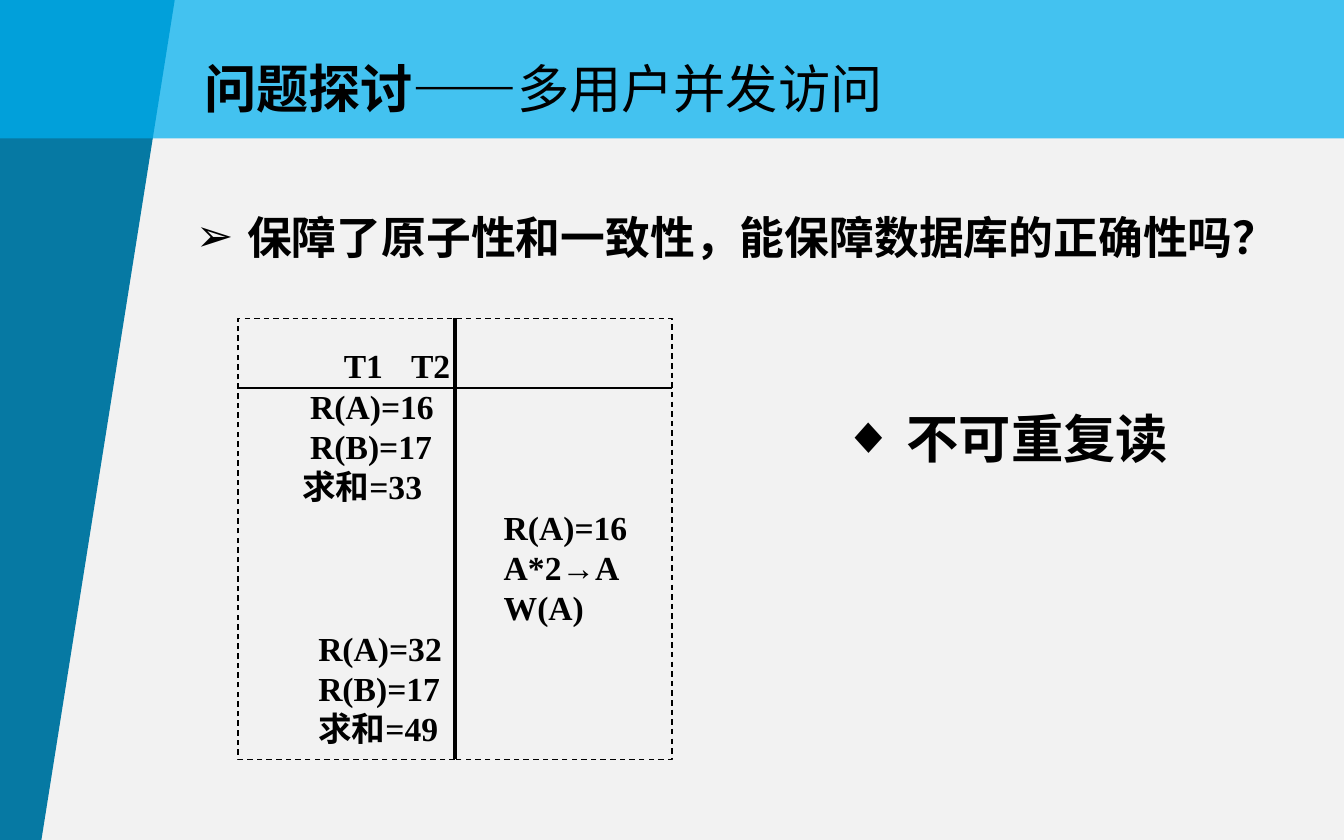
import pptx
import pptx.dml.color
import pptx.enum.dml
import pptx.enum.shapes
import pptx.enum.text
import pptx.oxml.ns
import pptx.util
from dataclasses import dataclass
from lxml import etree

Inches = pptx.util.Inches
Pt = pptx.util.Pt
qn = pptx.oxml.ns.qn
CENTER = pptx.enum.text.PP_ALIGN.CENTER


@dataclass(frozen=True)
class Theme:
    background: str = "F2F2F2"
    wedge: str = "0679A3"
    banner: str = "00B0F0"
    ink: str = "000000"
    latin: str = "Arial"
    cjk: str = "Noto Sans CJK SC"
    serif: str = "Times New Roman"
    heading: int = 28
    question: int = 24
    schedule: int = 18


def rgb(value):
    return pptx.dml.color.RGBColor.from_string(value)


def add_run(p, text, *, size, font, east_asian, color, bold=True):
    r = p.add_run()
    r.text = text
    r.font.size, r.font.name, r.font.bold = Pt(size), font, bold
    r.font.color.rgb = rgb(color)
    etree.SubElement(r.font._element, qn("a:ea"), typeface=east_asian)
    return r


def set_indent(p, left, hanging=0.0):
    pPr = p._p.get_or_add_pPr()
    pPr.set("marL", str(Inches(left)))
    pPr.set("indent", str(-Inches(hanging)))
    return pPr


class SlideBuilder:
    def __init__(self, slide, theme):
        self.s, self.theme = slide, theme
        self.shapes = slide.shapes
        fill = slide.background.fill
        fill.solid()
        fill.fore_color.rgb = rgb(theme.background)

    def run(self, p, text, size, font, bold=True):
        t = self.theme
        return add_run(p, text, size=size, font=font, east_asian=t.cjk,
                       color=t.ink, bold=bold)

    def polygon(self, points, color):
        first, *rest = [(Inches(x), Inches(y)) for x, y in points]
        builder = self.shapes.build_freeform(*first)
        builder.add_line_segments(rest, close=True)
        sp = builder.convert_to_shape()
        sp.shadow.inherit = False
        sp.fill.solid()
        sp.fill.fore_color.rgb = rgb(color)
        sp.line.fill.background()

    def rectangle(self, x, y, w, h, fill=None, opacity=100, dashed=False):
        sp = self.shapes.add_shape(pptx.enum.shapes.MSO_SHAPE.RECTANGLE,
                                   *map(Inches, (x, y, w, h)))
        sp.shadow.inherit = False
        if fill:
            sp.fill.solid()
            sp.fill.fore_color.rgb = rgb(fill)
            color = sp.fill._xPr.find(qn("a:solidFill"))[0]
            etree.SubElement(color, qn("a:alpha"), val=str(opacity * 1000))
        else:
            sp.fill.background()
        if dashed:
            sp.line.color.rgb = rgb(self.theme.ink)
            sp.line.width = Pt(0.75)
            sp.line.dash_style = pptx.enum.dml.MSO_LINE.DASH
        else:
            sp.line.fill.background()
        return sp

    def line(self, x1, y1, x2, y2, width):
        line = self.shapes.add_connector(pptx.enum.shapes.MSO_CONNECTOR.STRAIGHT,
                                         *map(Inches, (x1, y1, x2, y2)))
        line.line.color.rgb = rgb(self.theme.ink)
        line.line.width = Pt(width)
        etree.SubElement(line._element.spPr, qn("a:effectLst"))
        return line

    def text_box(self, x, y, w, h):
        """Add a wrapping text box and return its first paragraph."""
        tf = self.shapes.add_textbox(*map(Inches, (x, y, w, h))).text_frame
        tf.word_wrap = True
        return tf.paragraphs[0]

    def bullet(self, x, y, w, h, char, text, size, font):
        p = self.text_box(x, y, w, h)
        p.alignment, p.line_spacing = CENTER, 1.5
        pPr = set_indent(p, 0.38, 0.38)
        etree.SubElement(pPr, qn("a:buFont"), typeface="Arial")
        etree.SubElement(pPr, qn("a:buChar"), char=char)
        self.run(p, text, size, font)

    def schedule(self, x, y, w, h, header_y, headings, steps):
        """Draw a two-transaction timeline; each step is (indent, text)."""
        t, outer = self.theme, self.shapes
        self.shapes = outer.add_group_shape().shapes
        frame = self.rectangle(x, y, w, h, dashed=True)
        divider = self.line(x + w / 2, y, x + w / 2, y + h, 2.5)
        divider.begin_connect(frame, 0)
        divider.end_connect(frame, 2)
        self.line(x, header_y, x + w, header_y, 1)
        self.shapes = outer

        tf = frame.text_frame
        tf.word_wrap = True
        tf.vertical_anchor = pptx.enum.text.MSO_ANCHOR.TOP
        p = tf.paragraphs[0]
        p.line_spacing = 1.5
        (left, first), (tab, second) = headings
        tabs = etree.SubElement(set_indent(p, left), qn("a:tabLst"))
        etree.SubElement(tabs, qn("a:tab"), pos=str(Inches(tab)), algn="l")
        self.run(p, f"{first}\t{second}", t.schedule, t.serif)
        p.alignment = pptx.enum.text.PP_ALIGN.LEFT
        for indent, text in steps:
            p = tf.add_paragraph()
            p.alignment = pptx.enum.text.PP_ALIGN.LEFT
            set_indent(p, indent)
            self.run(p, text, t.schedule, t.serif)


def main():
    prs = pptx.Presentation()
    prs.slide_width, prs.slide_height = Inches(10), Inches(6.25)
    theme = Theme()
    page = SlideBuilder(prs.slides.add_slide(prs.slide_layouts[6]), theme)

    page.polygon([(-0.01, -0.01), (1.3, 0), (0.3, 6.3), (-0.01, 6.29)], theme.wedge)
    page.rectangle(-0.01, 0, 10.01, 1.03, fill=theme.banner, opacity=72)

    title = page.text_box(1.42, 0.37, 5.45, 0.57)
    page.run(title, "问题探讨——", theme.heading, theme.latin)
    page.run(title, "多用户并发访问", theme.heading, theme.latin, bold=False)

    page.bullet(1.3, 1.31, 8.03, 0.71, "➢",
                "保障了原子性和一致性，能保障数据库的正确性吗？",
                theme.question, theme.cjk)

    t1_read, t1_sum, t2, t1_again = 0.44, 0.38, 1.88, 0.5
    page.schedule(1.77, 2.37, 3.23, 3.28, 2.89, [(0.69, "T1"), (2.03, "T2")], [
        (t1_read, "R(A)=16"),
        (t1_read, "R(B)=17"),
        (t1_sum, "求和=33"),
        (t2, "R(A)=16"),
        (t2, "A*2→A"),
        (t2, "W(A)"),
        (t1_again, "R(A)=32"),
        (t1_again, "R(B)=17"),
        (t1_again, "求和=49"),
    ])

    page.bullet(5.63, 2.74, 3.7, 0.81, "◆", " 不可重复读", theme.heading, theme.latin)
    prs.save("out.pptx")


if __name__ == "__main__":
    main()
